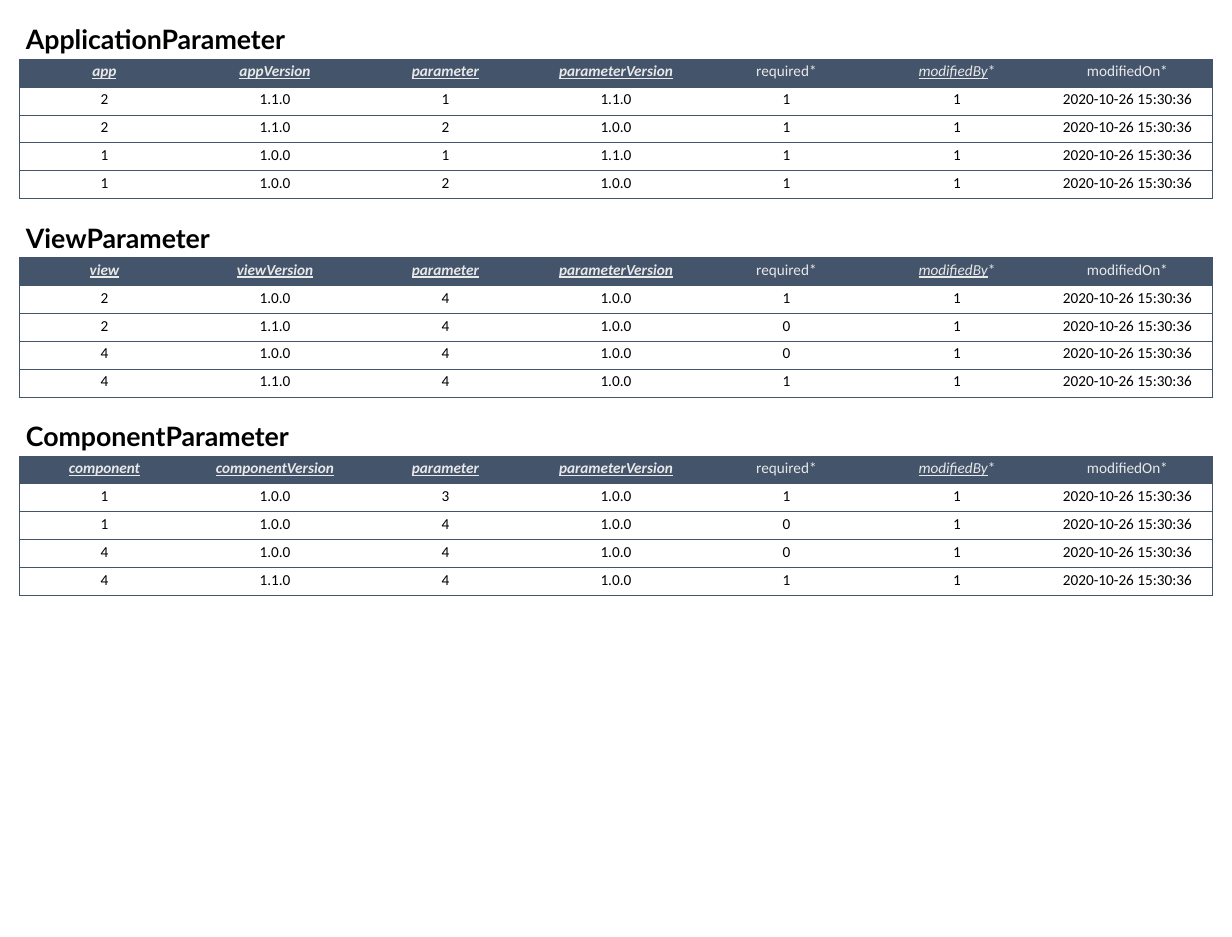
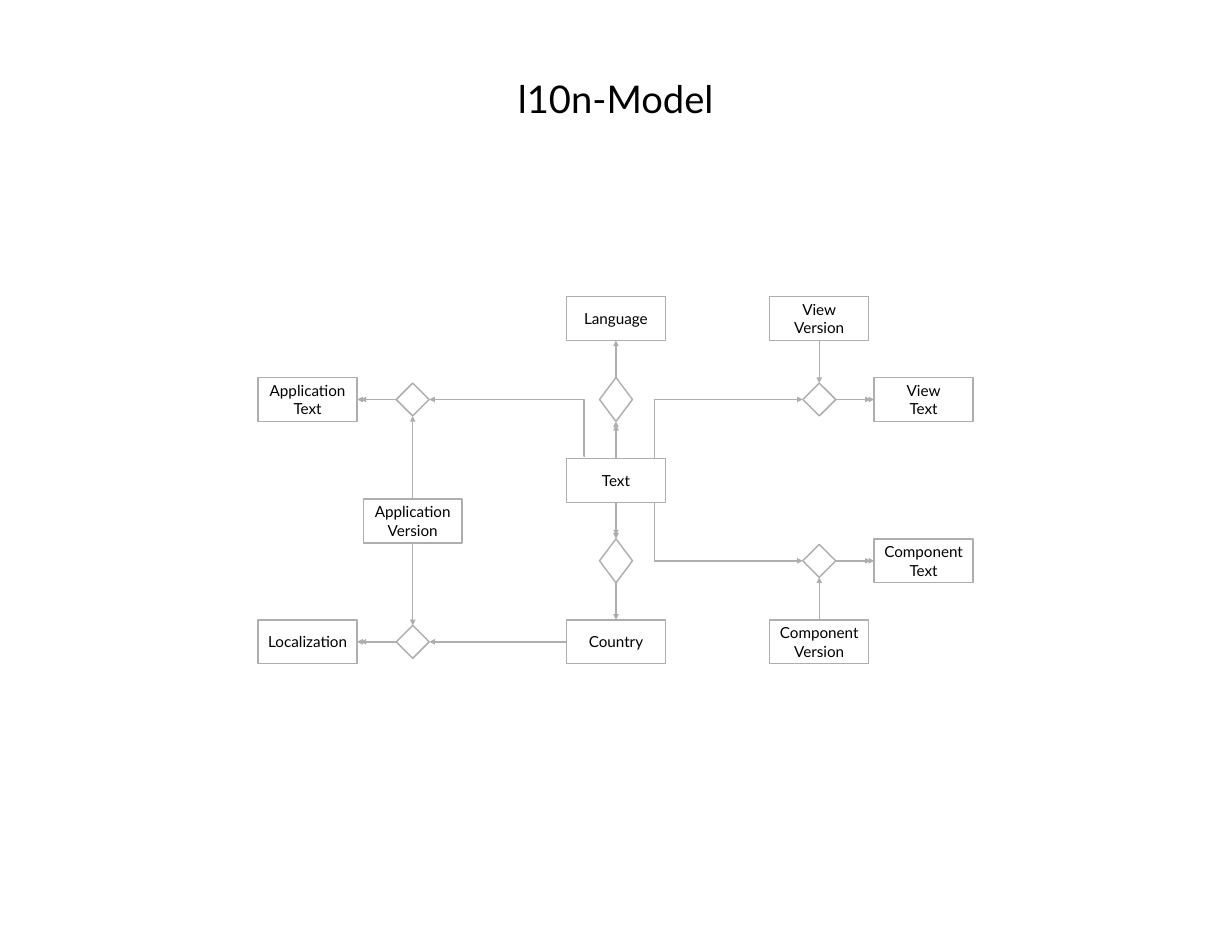
from dataclasses import dataclass

from pptx import Presentation
from pptx.dml.color import RGBColor
from pptx.enum.shapes import MSO_CONNECTOR, MSO_SHAPE
from pptx.enum.text import MSO_ANCHOR, PP_ALIGN
from pptx.oxml.ns import qn
from pptx.util import Inches, Pt
from lxml import etree

RECT, DIAMOND = MSO_SHAPE.RECTANGLE, MSO_SHAPE.DIAMOND
STRAIGHT, ELBOW = MSO_CONNECTOR.STRAIGHT, MSO_CONNECTOR.ELBOW
LEFT, CENTER = PP_ALIGN.LEFT, PP_ALIGN.CENTER
TOP, MIDDLE = MSO_ANCHOR.TOP, MSO_ANCHOR.MIDDLE
NORTH, WEST, SOUTH, EAST = range(4)  # connection sites
PLAIN = "{2D5ABB26-0587-4C30-8999-92F81FD0307C}"  # table style without grid


@dataclass(frozen=True)
class Theme:
    ink: str = "000000"
    band: str = "44546A"
    pale: str = "E8E8E8"
    edge: str = "AEAEAE"
    font: str = "Lato"
    grid: str = "Calibri"
    title: int = 40
    head: int = 28
    body: int = 16
    stroke: float = 1.5
    rule: float = 0.5


def rgb(color):
    return RGBColor.from_string(color)


def sub(parent, tag, **attrs):
    return etree.SubElement(parent, qn(tag), **attrs)


class Deck:
    def __init__(self, theme, width, height):
        self.theme = theme
        self.prs = Presentation()
        self.prs.slide_width = Inches(width)
        self.prs.slide_height = Inches(height)
        self.slide = None

    def page(self):
        self.slide = self.prs.slides.add_slide(self.prs.slide_layouts[6])

    def style(self, font, size, color, name=None):
        font.name = name or self.theme.font
        font.size = Pt(size)
        font.color.rgb = rgb(color)

    def text(self, words, x, y, w, h, size, bold=False, align=LEFT,
             anchor=TOP, wrap=False):
        frame = self.slide.shapes.add_textbox(
            Inches(x), Inches(y), Inches(w), Inches(h)).text_frame
        frame.word_wrap = wrap
        frame.vertical_anchor = anchor
        frame.text = words
        para = frame.paragraphs[0]
        para.alignment = align
        self.style(para.font, size, self.theme.ink)
        para.font.bold = bold
        return para

    def node(self, kind, x, y, w, h, words=""):
        """Outlined shape centred on x, y."""
        shape = self.slide.shapes.add_shape(
            kind, Inches(x - w / 2), Inches(y - h / 2), Inches(w), Inches(h))
        shape.shadow.inherit = False
        shape.fill.background()
        shape.line.color.rgb = rgb(self.theme.edge)
        shape.line.width = Pt(self.theme.stroke)
        if words:
            frame = shape.text_frame
            frame.vertical_anchor = MIDDLE
            frame.text = words
            for para in frame.paragraphs:
                para.alignment = CENTER
                self.style(para.font, self.theme.body, self.theme.ink)
        return shape

    def arrow(self, kind, x1, y1, x2, y2):
        line = self.slide.shapes.add_connector(kind, x1, y1, x2, y2)
        line.line.color.rgb = rgb(self.theme.edge)
        line.line.width = Pt(self.theme.stroke)
        props = line.element.spPr
        sub(props.find(qn("a:ln")), "a:tailEnd", type="triangle")
        sub(props, "a:effectLst")
        return line

    def link(self, start, exit, end, entry, many=False):
        """Glued arrow; many adds a second head just before the first."""
        line = self.arrow(STRAIGHT, 0, 0, 0, 0)
        line.begin_connect(start, exit)
        line.end_connect(end, entry)
        if many:
            gap = Inches(0.05)
            dx = {WEST: -gap, EAST: gap}.get(entry, 0)
            dy = {NORTH: -gap, SOUTH: gap}.get(entry, 0)
            self.arrow(STRAIGHT, line.begin_x, line.begin_y,
                       line.end_x + dx, line.end_y + dy)

    def bend(self, x1, y1, x2, y2):
        """Elbow that leaves upright and then runs level."""
        line = self.arrow(ELBOW, Inches(x1), Inches(y1), Inches(x2), Inches(y2))
        shape = line.element.spPr.find(qn("a:prstGeom"))
        guides = shape.find(qn("a:avLst"))
        if guides is None:
            guides = sub(shape, "a:avLst")
        sub(guides, "a:gd", name="adj1", fmla="val 100")

    def border(self, cell, sides):
        props = cell._tc.get_or_add_tcPr()
        for side in sides:
            ln = sub(props, "a:ln" + side, w=str(Pt(self.theme.rule)))
            sub(sub(ln, "a:solidFill"), "a:srgbClr", val=self.theme.band)

    def table(self, heads, rows, x, y, w, h):
        """Each head is a list of (text, bold, italic and underlined) runs."""
        theme = self.theme
        grid = self.slide.shapes.add_table(
            len(rows) + 1, len(heads), Inches(x), Inches(y),
            Inches(w), Inches(h)).table
        grid.horz_banding = False
        grid._tbl.tblPr.find(qn("a:tableStyleId")).text = PLAIN
        body = [[[(value, False, False)] for value in row] for row in rows]
        for r, row in enumerate([heads] + body):
            for c, parts in enumerate(row):
                cell = grid.cell(r, c)
                sides = ["L"] * (c == 0) + ["R"] * (c == len(heads) - 1)
                self.border(cell, sides + ["T", "B"])
                if r == 0:
                    cell.fill.solid()
                    cell.fill.fore_color.rgb = rgb(theme.band)
                else:
                    cell.fill.background()
                para = cell.text_frame.paragraphs[0]
                para.alignment = CENTER
                self.style(para.font, theme.body,
                           theme.ink if r else theme.pale, theme.grid)
                for words, bold, key in parts:
                    run = para.add_run()
                    run.text = words
                    run.font.bold = bold
                    run.font.italic = run.font.underline = key


theme = Theme()
deck = Deck(theme, 17.94, 13.65)

# Slide 1: parameter tables
STAMP = "2020-10-26 15:30:36"
LISTS = {  # id, version, parameter, parameter version, required
    "Application": ("app", ["2 1.1.0 1 1.1.0 1", "2 1.1.0 2 1.0.0 1",
                            "1 1.0.0 1 1.1.0 1", "1 1.0.0 2 1.0.0 1"]),
    "View": ("view", ["2 1.0.0 4 1.0.0 1", "2 1.1.0 4 1.0.0 0",
                      "4 1.0.0 4 1.0.0 0", "4 1.1.0 4 1.0.0 1"]),
    "Component": ("component", ["1 1.0.0 3 1.0.0 1", "1 1.0.0 4 1.0.0 0",
                                "4 1.0.0 4 1.0.0 0", "4 1.1.0 4 1.0.0 1"]),
}
deck.page()
for i, (name, (key, lines)) in enumerate(LISTS.items()):
    top = 0.86 + 2.89 * i
    deck.text(name + "Parameter", 0.28, top - 0.57, 4.2, 0.57,
              theme.head, bold=True)
    keys = [key, key + "Version", "parameter", "parameterVersion"]
    heads = [[(word, True, True)] for word in keys] + [
        [("required*", False, False)],
        [("modifiedBy", False, True), ("*", False, False)],
        [("modifiedOn*", False, False)]]
    rows = [line.split() + ["1", STAMP] for line in lines]
    deck.table(heads, rows, 0.28, top, 17.38, 2.03)

# Slide 2: entity diagram
deck.page()
title = deck.text("l10n-Model", 1.23, 1.12, 15.47, 0.72, theme.title,
                  align=CENTER, anchor=MIDDLE, wrap=True)
title.line_spacing = 0.9

# Column and row centres
FAR_L, MID_L, MID, MID_R, FAR_R = 4.48, 6.01, 8.97, 11.93, 13.45
ROW_1, ROW_2, ROW_3, ROW_4, ROW_5 = 4.64, 5.82, 7.0, 8.17, 9.35


def box(words, x, y):
    return deck.node(RECT, x, y, 1.44, 0.64, words)


def gem(x, y, h=0.48):
    return deck.node(DIAMOND, x, y, 0.48, h)


# Entities
lang = box("Language", MID, ROW_1)
text = box("Text", MID, ROW_3)
land = box("Country", MID, ROW_5)
app_text = box("Application\nText", FAR_L, ROW_2)
app_ver = box("Application\nVersion", MID_L, 7.59)
local = box("Localization", FAR_L, ROW_5)
view_ver = box("View\nVersion", MID_R, ROW_1)
view_text = box("View\nText", FAR_R, ROW_2)
comp_text = box("Component\nText", FAR_R, ROW_4)
comp_ver = box("Component\nVersion", MID_R, ROW_5)

# Relations
lang_gem = gem(MID, ROW_2, 0.64)
land_gem = gem(MID, ROW_4, 0.64)
app_gem = gem(MID_L, ROW_2)
local_gem = gem(MID_L, ROW_5)
view_gem = gem(MID_R, ROW_2)
comp_gem = gem(MID_R, ROW_4)

# Arrows to one
for ends in [(lang_gem, NORTH, lang, SOUTH), (land_gem, SOUTH, land, NORTH),
             (app_ver, NORTH, app_gem, SOUTH),
             (app_ver, SOUTH, local_gem, NORTH),
             (land, WEST, local_gem, EAST),
             (view_ver, SOUTH, view_gem, NORTH),
             (comp_ver, NORTH, comp_gem, SOUTH)]:
    deck.link(*ends)

# Arrows to many
for ends in [(text, NORTH, lang_gem, SOUTH), (text, SOUTH, land_gem, NORTH),
             (app_gem, WEST, app_text, EAST), (local_gem, WEST, local, EAST),
             (view_gem, EAST, view_text, WEST),
             (comp_gem, EAST, comp_text, WEST)]:
    deck.link(*ends, many=True)

# Elbows from Text to the outer relations
deck.bend(8.51, 6.64, MID_L + 0.24, ROW_2)
deck.bend(9.53, 6.68, MID_R - 0.24, ROW_2)
deck.bend(9.53, 7.32, MID_R - 0.24, ROW_4)

deck.prs.save("out.pptx")
